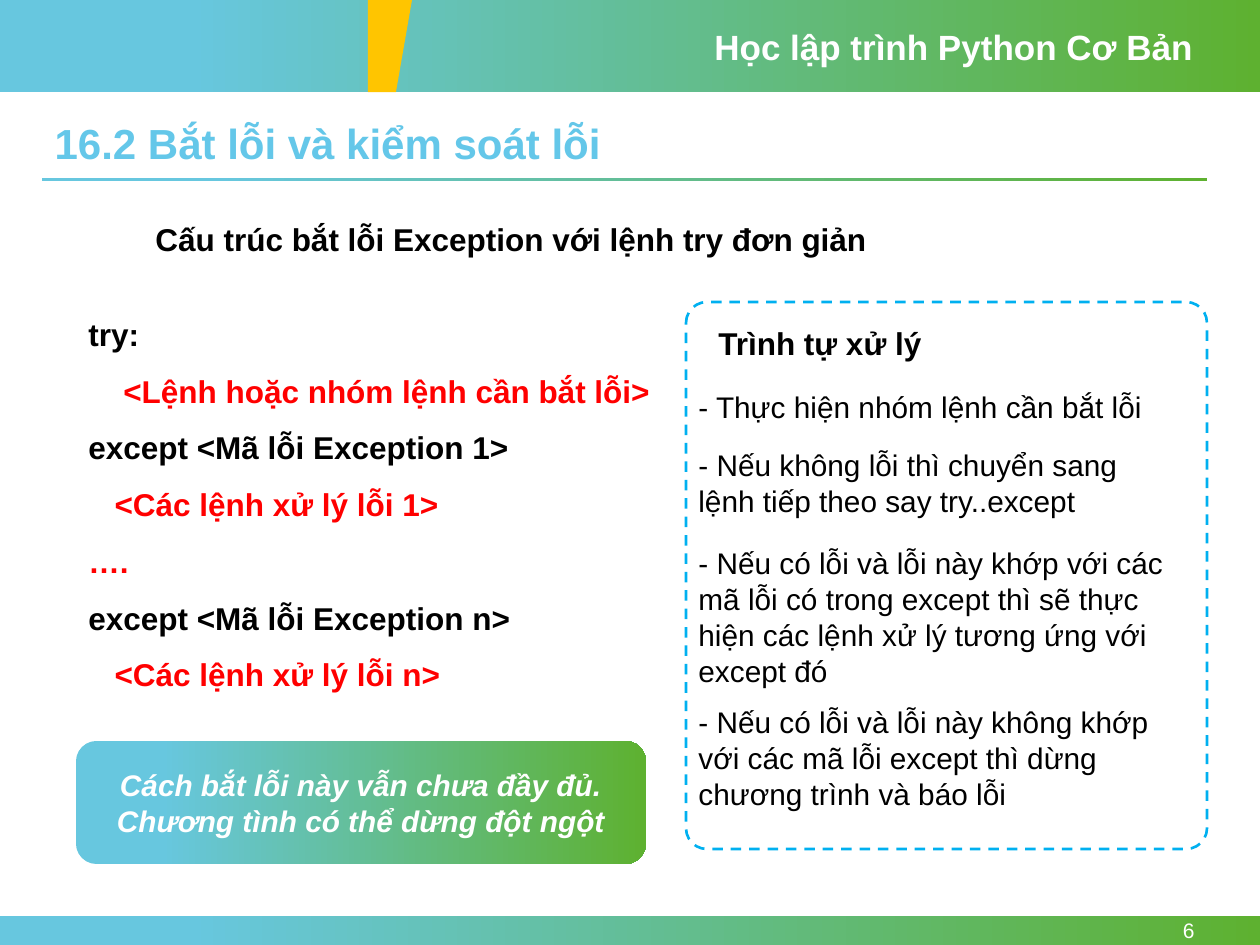
from dataclasses import dataclass

from pptx import Presentation
from pptx.dml.color import RGBColor
from pptx.enum.dml import MSO_LINE
from pptx.enum.shapes import MSO_SHAPE
from pptx.enum.text import MSO_ANCHOR, MSO_AUTO_SIZE, PP_ALIGN
from pptx.util import Emu, Pt

EMU_PER_PX = 914400 / 126


@dataclass(frozen=True)
class Theme:
    font: str = "Arial"
    sky: str = "67C7DF"
    green: str = "5EB130"
    amber: str = "FFC500"
    title: str = "64C7E9"
    outline: str = "00B0F0"
    white: str = "FFFFFF"
    black: str = "000000"
    red: str = "FF0000"
    title_size: int = 24
    header_size: int = 20
    heading_size: int = 18
    body_size: int = 17
    number_size: int = 12


def px(length):
    return Emu(round(length * EMU_PER_PX))


def color(value):
    return RGBColor.from_string(value)


def write_text(frame, text, *, font, size, fill, bold=False, italic=False,
               align=PP_ALIGN.LEFT, anchor=MSO_ANCHOR.TOP, spacing=None):
    frame.word_wrap = True
    frame.auto_size = MSO_AUTO_SIZE.NONE
    frame.vertical_anchor = anchor
    lines = [text] if isinstance(text, str) else text
    fills = [fill] * len(lines) if isinstance(fill, str) else fill
    for index, (line, line_fill) in enumerate(zip(lines, fills)):
        paragraph = frame.add_paragraph() if index else frame.paragraphs[0]
        paragraph.alignment = align
        if spacing:
            paragraph.line_spacing = spacing
        run = paragraph.add_run()
        run.text = line
        run.font.name = font
        run.font.size = Pt(size)
        run.font.bold = bold
        run.font.italic = italic
        run.font.color.rgb = color(line_fill)


class SlideBuilder:
    def __init__(self, slide, theme):
        self.slide = slide
        self.theme = theme

    def title(self, text, box, **style):
        shape = self.slide.shapes.title
        shape.left, shape.top, shape.width, shape.height = map(px, box)
        write_text(shape.text_frame, text, font=self.theme.font, **style)

    def text(self, text, box, **style):
        shape = self.slide.shapes.add_textbox(*map(px, box))
        write_text(shape.text_frame, text, font=self.theme.font, **style)

    def gradient(self, box, kind=MSO_SHAPE.RECTANGLE):
        shape = self.slide.shapes.add_shape(kind, *map(px, box))
        shape.shadow.inherit = False
        shape.line.fill.background()
        shape.fill.gradient()
        shape.fill.gradient_angle = 0
        stops = ((0.15, self.theme.sky), (1, self.theme.green))
        for stop, (position, value) in zip(shape.fill.gradient_stops, stops):
            stop.position = position
            stop.color.rgb = color(value)
        return shape

    def note(self, text, box, **style):
        shape = self.gradient(box, MSO_SHAPE.ROUNDED_RECTANGLE)
        write_text(shape.text_frame, text, font=self.theme.font, **style)

    def dashed_panel(self, box):
        shape = self.slide.shapes.add_shape(MSO_SHAPE.ROUNDED_RECTANGLE, *map(px, box))
        shape.adjustments[0] = 0.04
        shape.shadow.inherit = False
        shape.fill.solid()
        shape.fill.fore_color.rgb = color(self.theme.white)
        shape.line.color.rgb = color(self.theme.outline)
        shape.line.width = Pt(1.5)
        shape.line.dash_style = MSO_LINE.DASH

    def polygon(self, points, fill):
        builder = self.slide.shapes.build_freeform(*points[0], scale=EMU_PER_PX)
        builder.add_line_segments(points[1:], close=True)
        shape = builder.convert_to_shape()
        shape.shadow.inherit = False
        shape.fill.solid()
        shape.fill.fore_color.rgb = color(fill)
        shape.line.fill.background()


def main():
    theme = Theme()
    presentation = Presentation()
    presentation.slide_width, presentation.slide_height = px(1260), px(945)
    slide = presentation.slides.add_slide(presentation.slide_layouts[5])
    builder = SlideBuilder(slide, theme)

    for band in ((0, 0, 1260, 92), (0, 916, 1260, 29), (42, 178, 1165, 3)):
        builder.gradient(band)
    builder.polygon([(368, 0), (412, 0), (396, 92), (368, 92)], theme.amber)
    builder.text("Học lập trình Python Cơ Bản", (702, 19, 504, 55),
                 size=theme.header_size, fill=theme.white, bold=True)
    builder.text("6", (1091, 916, 116, 29), size=theme.number_size, fill=theme.white,
                 align=PP_ALIGN.RIGHT, anchor=MSO_ANCHOR.MIDDLE)
    builder.title("16.2 Bắt lỗi và kiểm soát lỗi", (42, 117, 1165, 58),
                  size=theme.title_size, fill=theme.title, bold=True, spacing=0.9)

    heading = dict(size=theme.heading_size, fill=theme.black, bold=True)
    builder.text("Cấu trúc bắt lỗi Exception với lệnh try đơn giản",
                 (143, 214, 886, 50), **heading)

    code = (
        ("try:", theme.black),
        ("    <Lệnh hoặc nhóm lệnh cần bắt lỗi>", theme.red),
        ("except <Mã lỗi Exception 1>", theme.black),
        ("   <Các lệnh xử lý lỗi 1>", theme.red),
        ("….", theme.red),
        ("except <Mã lỗi Exception n>", theme.black),
        ("   <Các lệnh xử lý lỗi n>", theme.red),
    )
    lines, fills = zip(*code)
    builder.text(lines, (76, 290, 596, 413), size=theme.heading_size,
                 fill=fills, bold=True, spacing=1.5)

    builder.dashed_panel((686, 302, 521, 547))
    builder.text("Trình tự xử lý", (706, 318, 481, 50), **heading)
    steps = (
        (383, 481, 49, "- Thực hiện nhóm lệnh cần bắt lỗi"),
        (441, 481, 84, "- Nếu không lỗi thì chuyển sang lệnh tiếp theo say try..except"),
        (539, 521, 158, "- Nếu có lỗi và lỗi này khớp với các mã lỗi có trong except "
                        "thì sẽ thực hiện các lệnh xử lý tương ứng với except đó"),
        (698, 521, 121, "- Nếu có lỗi và lỗi này không khớp với các mã lỗi except "
                        "thì dừng chương trình và báo lỗi"),
    )
    for top, width, height, step in steps:
        builder.text(step, (686, top, width, height),
                     size=theme.body_size, fill=theme.black)

    builder.note("Cách bắt lỗi này vẫn chưa đầy đủ. Chương tình có thể dừng đột ngột",
                 (76, 741, 570, 123), size=theme.body_size, fill=theme.white,
                 bold=True, italic=True, align=PP_ALIGN.CENTER,
                 anchor=MSO_ANCHOR.MIDDLE)

    presentation.save("out.pptx")


if __name__ == "__main__":
    main()
